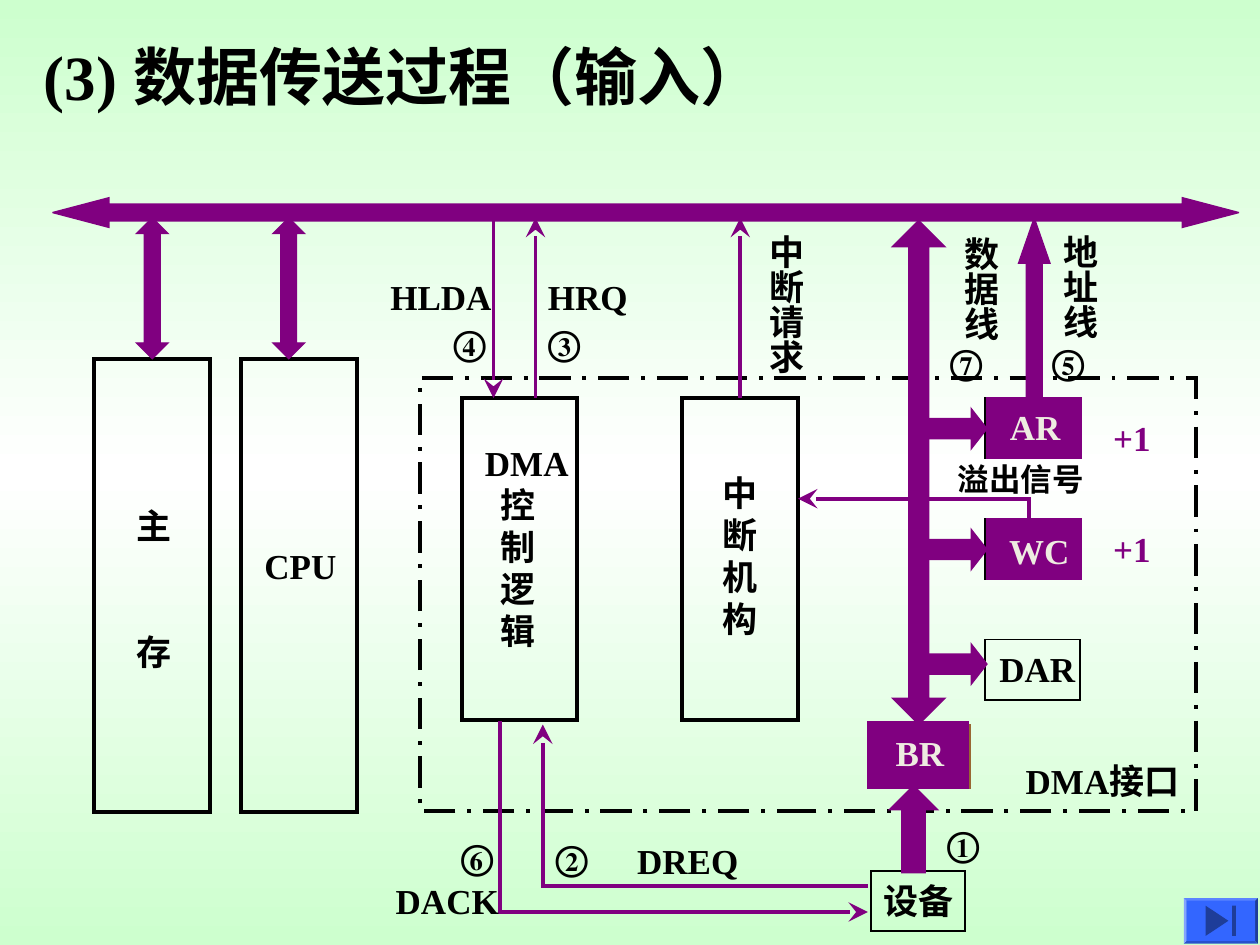
"""Build a slide showing the DMA input data transfer process."""
from copy import deepcopy

from lxml import etree
from pptx import Presentation
from pptx.dml.color import RGBColor
from pptx.enum.dml import MSO_LINE
from pptx.enum.shapes import MSO_CONNECTOR, MSO_SHAPE
from pptx.enum.text import MSO_AUTO_SIZE
from pptx.oxml.ns import qn
from pptx.util import Pt

RECTANGLE, BEVEL = MSO_SHAPE.RECTANGLE, MSO_SHAPE.BEVEL
UP, RIGHT = MSO_SHAPE.UP_ARROW, MSO_SHAPE.RIGHT_ARROW
UP_DOWN, LEFT_RIGHT = MSO_SHAPE.UP_DOWN_ARROW, MSO_SHAPE.LEFT_RIGHT_ARROW
BUTTON = MSO_SHAPE.ACTION_BUTTON_END
LONG_DASH_DOT = MSO_LINE.LONG_DASH_DOT
STRAIGHT = MSO_CONNECTOR.STRAIGHT
GROW = MSO_AUTO_SIZE.SHAPE_TO_FIT_TEXT

BLACK, PURPLE, BROWN, CREAM, BLUE = "000000", "800080", "996633", "EEECE1", "3366FF"
BACKGROUND = [(0, "CDFFCE"), (0.5, "FFFFFF"), (1, "CDFFCE")]
FONT = "Times New Roman"
LINE_HEIGHT = 24.4
FLOW_WIDTH = 2.25
BUS_BOTTOM, UNIT_TOP = 124.5, 227.5

REGISTER_LEFT, REGISTER_PITCH = 563, 69
REGISTER_SIZE = (54, 34.5)
REGISTER_TOPS = [UNIT_TOP + row * REGISTER_PITCH for row in range(3)]
BRANCH_TOPS = [233.5, 302.5, 368]

FRAMES = [
    ((54, 205, 66, 259), 2.25),
    ((138, 205, 66, 259), 2.25),
    ((264, UNIT_TOP, 66, 184), 2.25),
    ((497.5, 497.5, 54, 34.5), 1),
] + [((REGISTER_LEFT, top, *REGISTER_SIZE), 1) for top in REGISTER_TOPS]
INTERRUPT_FRAME = (390, UNIT_TOP, 66, 184)
INTERFACE_FRAME = (240, 216, 443.5, 247.5)

ARROWS = [
    (LEFT_RIGHT, (30, 113, 678, 17), (0.57, 1.9), 0.75),
    (UP_DOWN, (78, 124.5, 18, 80.5), (0.9, 0.5), 0.75),
    (UP_DOWN, (156, 124.5, 18, 80.5), (0.9, 0.5), 0.75),
    (UP_DOWN, (510, 126, 30, 288), (0.7, 0.38), 0.75),
    (UP, (582, 124.5, 18, 103.5), (0.5, 1.44), 0.75),
    (UP, (510, 450, 24, 48), (0.5, 0.5), 2.25),
] + [(RIGHT, (528, top, 36, 23), (0.5, 0.39), 0.75) for top in BRANCH_TOPS]

FILLED_BOXES = [
    ((564, REGISTER_TOPS[0], *REGISTER_SIZE), PURPLE, 0.75),
    ((564, REGISTER_TOPS[1], *REGISTER_SIZE), PURPLE, 0.75),
    ((497.5, 414, 57, 36.5), BROWN, 0.75),
    ((497.5, 414, *REGISTER_SIZE), PURPLE, 4.5),
]

SIGNALS = [
    ((306, UNIT_TOP), (306, BUS_BOTTOM)),
    ((282, BUS_BOTTOM), (282, UNIT_TOP)),
]
BENT_SIGNALS = [
    [(496, 506.2), (310.2, 506.2), (310.2, 414)],
    [(286, 412), (286, 521.2), (496, 521.2)],
    [(588, 296.5), (588, 285), (456, 285)],
]

LABELS = [
    ("设备", 497.5, 499, 54, BLACK),
    ("中\n断\n机\n构", 405.7, 265.7, 34.5, BLACK),
    ("DAR", 564, 366.5, 57.5, BLACK),
    ("DMA接口", 579, 430.5, 107, BLACK),
    ("CPU", 144, 307.5, 55.5, BLACK),
    ("DREQ", 357, 476, 72, BLACK),
    ("②", 310.3, 474.5, 34.5, BLACK),
    ("HRQ", 306, 154, 60, BLACK),
    ("③", 306, 180, 34.5, BLACK),
    ("HLDA", 216, 154, 72, BLACK),
    ("④", 252, 180, 34.5, BLACK),
    ("⑤", 594, 191, 34.5, BLACK),
    ("DACK", 219, 499, 73.5, BLACK),
    ("⑥", 256.3, 473.8, 34.5, BLACK),
    ("①", 534, 466.5, 34.5, BLACK),
    ("⑦", 535.7, 191, 34.5, BLACK),
    ("AR", 570, 228.3, 43, CREAM),
    ("WC", 569.5, 299, 49, CREAM),
    ("+1", 629, 234.7, 36, PURPLE),
    ("+1", 629, 298, 36, PURPLE),
    ("BR", 504.7, 414.7, 42, CREAM),
]
VERTICAL_LABELS = [
    ("地址线", (594.5, 126.8, 38, 75)),
    ("数据线", (538, 128.3, 38, 75)),
    ("中断请求", (426.7, 126.8, 38, 95)),
]


def color(value):
    """Return the colour for a hex string."""
    return RGBColor.from_string(value)


def points(values):
    """Convert numbers to lengths in points."""
    return [Pt(value) for value in values]


def style_line(shape, value, width, dash=None):
    """Set the colour, width, dash and sharp corners of an outline."""
    shape.line.color.rgb = color(value)
    for name, setting in {"width": Pt(width), "dash_style": dash}.items():
        setattr(shape.line, name, setting)
    outline = shape._element.spPr.find(qn("a:ln"))
    etree.SubElement(outline, qn("a:miter"), lim="800000")
    return outline


def add_box(slide, kind, place, fill, line, width, adjustments=(), dash=None):
    """Add a preset shape."""
    shape = slide.shapes.add_shape(kind, *points(place))
    shape.shadow.inherit = False
    for index, value in enumerate(adjustments):
        shape.adjustments[index] = value
    if fill:
        shape.fill.solid()
        shape.fill.fore_color.rgb = color(fill)
    else:
        shape.fill.background()
    if line:
        style_line(shape, line, width, dash)
    else:
        shape.line.fill.background()
    return shape


def finish_signal(shape):
    """Style a signal line and give it an arrowhead."""
    outline = style_line(shape, PURPLE, FLOW_WIDTH)
    etree.SubElement(outline, qn("a:tailEnd"), type="stealth", w="lg", len="lg")
    properties = shape._element.spPr
    if properties.find(qn("a:effectLst")) is None:
        etree.SubElement(properties, qn("a:effectLst"))


def add_signal(slide, start, end):
    """Add a straight signal line."""
    connector = slide.shapes.add_connector(STRAIGHT, *points(start + end))
    finish_signal(connector)
    return connector


def add_bent_signal(slide, corners):
    """Add a signal line through the given corners."""
    start, *rest = [points(corner) for corner in corners]
    builder = slide.shapes.build_freeform(*start)
    builder.add_line_segments(rest, close=False)
    shape = builder.convert_to_shape()
    shape.shadow.inherit = False
    shape.fill.background()
    finish_signal(shape)


def add_label(slide, text, place, value=BLACK, size=20, wrap=False, indent=0, gap=0, vertical=False):
    """Add bold text; indent and gap apply after its first line."""
    frame = slide.shapes.add_textbox(*points(place)).text_frame
    left, right, top, bottom = (3.6, 3.6, 7.2, 0) if vertical else (7.2, 0, 3.6, 3.6)
    settings = {
        "word_wrap": wrap, "auto_size": GROW,
        "margin_left": Pt(left), "margin_right": Pt(right),
        "margin_top": Pt(top), "margin_bottom": Pt(bottom),
    }
    for name, setting in settings.items():
        setattr(frame, name, setting)
    if vertical:
        frame._txBody.bodyPr.set("vert", "eaVert")
    frame.text = text
    for index, paragraph in enumerate(frame.paragraphs):
        if index and indent:
            paragraph._p.get_or_add_pPr().set("marL", str(Pt(indent)))
        if index and gap:
            paragraph.space_before = Pt(gap)
        font = paragraph.runs[0].font
        for name, setting in {"name": FONT, "size": Pt(size), "bold": True}.items():
            setattr(font, name, setting)
        font.color.rgb = color(value)


def paint_background(slide):
    """Fill the background with a vertical gradient."""
    fill = slide.background.fill
    fill.gradient()
    stops = slide._element.find(".//" + qn("a:gsLst"))
    stops.append(deepcopy(stops[-1]))
    for stop, (position, value) in zip(fill.gradient_stops, BACKGROUND):
        stop.position = position
        stop.color.rgb = color(value)
    fill.gradient_angle = 90


def main():
    """Build and save the slide."""
    presentation = Presentation()
    presentation.slide_width, presentation.slide_height = Pt(720), Pt(540)
    slide = presentation.slides.add_slide(presentation.slide_layouts[6])
    paint_background(slide)
    for place, width in FRAMES:
        add_box(slide, RECTANGLE, place, None, BLACK, width)
    interrupt_unit = add_box(slide, RECTANGLE, INTERRUPT_FRAME, None, BLACK, 2.25)
    add_box(slide, RECTANGLE, INTERFACE_FRAME, None, BLACK, 2.25, dash=LONG_DASH_DOT)
    for kind, place, adjustments, width in ARROWS:
        add_box(slide, kind, place, PURPLE, PURPLE, width, adjustments)
    for start, end in SIGNALS:
        add_signal(slide, start, end)
    request = add_signal(slide, (423, UNIT_TOP), (423, BUS_BOTTOM))
    request.begin_connect(interrupt_unit, 0)
    for corners in BENT_SIGNALS:
        add_bent_signal(slide, corners)
    for place, fill, width in FILLED_BOXES:
        add_box(slide, RECTANGLE, place, fill, fill, width)
    for text, left, top, width, value in LABELS:
        height = 7.2 + LINE_HEIGHT * len(text.split("\n"))
        add_label(slide, text, (left, top, width, height), value)
    for text, place in VERTICAL_LABELS:
        add_label(slide, text, place, vertical=True)
    add_label(slide, "溢出信号", (540.2, 259.2, 86.4, 29), size=18)
    add_label(slide, "DMA\n控\n制\n逻\n辑", (270, 249, 62, 127.5), indent=9)
    add_label(slide, "主\n存", (71, 285, 34.5, 104), gap=48)
    add_label(slide, "(3) 数据传送过程（输入）", (18, 18, 492, 50.5), size=36, wrap=True)
    add_box(slide, BEVEL, (676.5, 513.2, 42.3, 26), BLUE, None, 0, (0.06,))
    add_box(slide, BUTTON, (678, 514.7, 39.3, 23), BLUE, None, 0)
    presentation.save("out.pptx")


if __name__ == "__main__":
    main()
